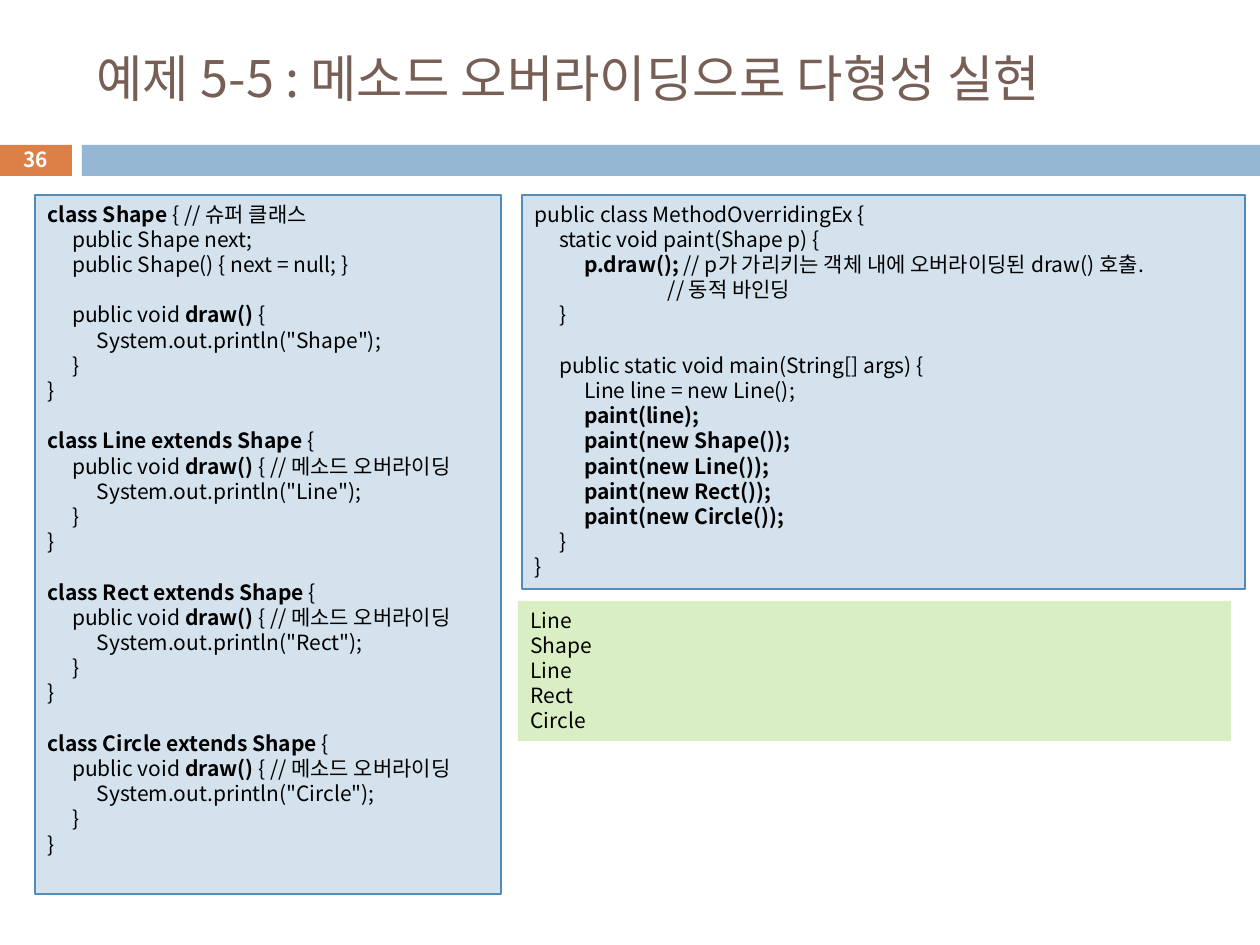
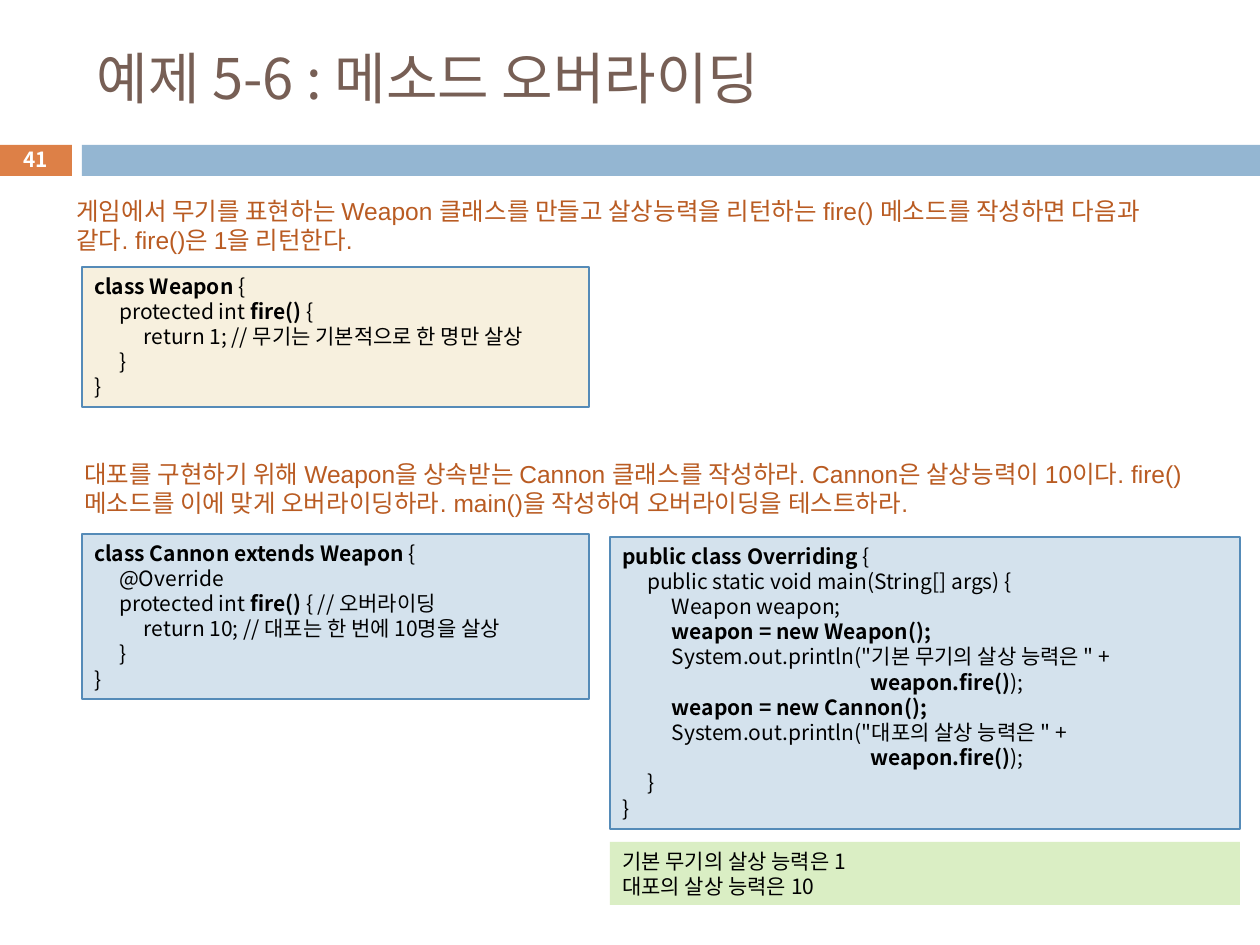
"""Build two slides of Java method-overriding examples."""
from lxml import etree
from pptx import Presentation
from pptx.dml.color import RGBColor
from pptx.enum.shapes import MSO_SHAPE
from pptx.enum.text import MSO_ANCHOR, MSO_AUTO_SIZE, PP_ALIGN
from pptx.oxml.ns import qn
from pptx.util import Emu, Pt

RECT = MSO_SHAPE.RECTANGLE
MIDDLE, TOP = MSO_ANCHOR.MIDDLE, MSO_ANCHOR.TOP
LEFT, CENTER = PP_ALIGN.LEFT, PP_ALIGN.CENTER
NO_FIT = MSO_AUTO_SIZE.NONE

PX = 914400 / 126
TAB = 180000
TAB_COUNT = 10
INDENT = "    "
BOLD = "**"
CODE_LINE = 14.4
TASK_LINE = 17

KOREAN, LATIN = "Noto Sans CJK KR", "Arial"
BROWN, ORANGE, BLUE, RUST = "775F55", "DD8047", "94B6D2", "B95B22"
BLACK, WHITE, EDGE = "000000", "FFFFFF", "558BB8"
FILLS = {"code": "D4E2ED", "given": "F7F0DE", "output": "DAEEC4"}

TITLE_BOX = (84, 31, 1124, 93)
NUMBER_BAND = (-1, 145, 73, 31)
NUMBER_BOX = (-1, 142, 73, 34)
TITLE_BAND = (82, 145, 1178, 31)

SHAPE_CLASSES = """**class Shape **{ // 슈퍼 클래스
    public Shape next;
    public Shape() { next = null; }

    public void **draw() **{
        System.out.println("Shape");
    }
}

**class Line extends Shape **{
    public void **draw() **{ // 메소드 오버라이딩
        System.out.println("Line");
    }
}

**class Rect extends Shape **{
    public void **draw() **{ // 메소드 오버라이딩
        System.out.println("Rect");
    }
}

**class Circle extends Shape **{
    public void **draw()** { // 메소드 오버라이딩
        System.out.println("Circle");
    }
}"""

PAINT_MAIN = """public class MethodOverridingEx {
    static void paint(Shape p) {
        **p.draw();** // p가 가리키는 객체 내에 오버라이딩된 draw() 호출.
                      // 동적 바인딩
    }

    public static void main(String[] args) {
        Line line = new Line();
        **paint(line);**
        **paint(new Shape());**
        **paint(new Line());**
        **paint(new Rect());**
        **paint(new Circle());**
    }
}"""

PAINT_OUTPUT = """Line
Shape
Line
Rect
Circle"""

WEAPON_CLASS = """**class Weapon **{
    protected int **fire() **{
        return 1; // 무기는 기본적으로 한 명만 살상
    }
}"""

CANNON_CLASS = """**class Cannon extends Weapon **{
    @Override
    protected int **fire() **{ // 오버라이딩
        return 10; // 대포는 한 번에 10명을 살상
    }
}"""

OVERRIDING_MAIN = """**public class Overriding **{
    public static void main(String[] args) {
        Weapon weapon;
        **weapon = new Weapon();**
        System.out.println("기본 무기의 살상 능력은 " +
                                        **weapon.fire()**);
        **weapon = new Cannon();**
        System.out.println("대포의 살상 능력은 " +
                                        **weapon.fire()**);
    }
}"""

OVERRIDING_OUTPUT = """기본 무기의 살상 능력은 1
대포의 살상 능력은 10"""

WEAPON_TASK = ("게임에서 무기를 표현하는 Weapon 클래스를 만들고 살상능력을 리턴하는 "
               "fire() 메소드를 작성하면 다음과 같다. fire()은 1을 리턴한다.")
CANNON_TASK = ("대포를 구현하기 위해 Weapon을 상속받는 Cannon 클래스를 작성하라. "
               "Cannon은 살상능력이 10이다. fire() 메소드를 이에 맞게 오버라이딩하라. "
               "main()을 작성하여 오버라이딩을 테스트하라.")

SLIDES = [
    {"title": "예제 5-5 : 메소드 오버라이딩으로 다형성 실현", "size": 28.8, "number": "36",
     "tasks": [],
     "panels": [("code", (35, 195, 466, 699), SHAPE_CLASSES),
                ("code", (522, 195, 723, 394), PAINT_MAIN),
                ("output", (518, 601, 713, 140), PAINT_OUTPUT)]},
    {"title": "예제 5-6 : 메소드 오버라이딩", "size": 32, "number": "41",
     "tasks": [((64, 189, 1131, 72), WEAPON_TASK),
               ((72, 452, 1135, 72), CANNON_TASK)],
     "panels": [("given", (82, 267, 507, 140), WEAPON_CLASS),
                ("code", (82, 534, 507, 165), CANNON_CLASS),
                ("code", (610, 537, 630, 292), OVERRIDING_MAIN),
                ("output", (610, 842, 630, 63), OVERRIDING_OUTPUT)]},
]


def emu(box):
    return [Emu(round(v * PX)) for v in box]


def rgb(color):
    return RGBColor.from_string(color)


def style_run(r, size, color, bold=False, font=KOREAN):
    r.font.size, r.font.bold, r.font.name = Pt(size), bold, font
    r.font.color.rgb = rgb(color)
    etree.SubElement(r.font._element, qn("a:ea")).set("typeface", KOREAN)


def set_frame(tf, anchor):
    tf.word_wrap, tf.auto_size, tf.vertical_anchor = True, NO_FIT, anchor


def add_rect(s, box, fill, edge=None):
    sp = s.shapes.add_shape(RECT, *emu(box))
    sp.shadow.inherit = False
    sp.fill.solid()
    sp.fill.fore_color.rgb = rgb(fill)
    if edge:
        sp.line.color.rgb = rgb(edge)
        sp.line.width = Pt(0.75)
    else:
        sp.line.fill.background()
    return sp


def write_line(tf, text, align, size, color, bold=False, font=KOREAN):
    p = tf.paragraphs[0]
    p.text, p.alignment = text, align
    style_run(p.runs[0], size, color, bold, font)
    return p


def add_text(s, box, anchor):
    tf = s.shapes.add_textbox(*emu(box)).text_frame
    set_frame(tf, anchor)
    return tf


def add_tabs(p):
    tabs = etree.SubElement(p._p.get_or_add_pPr(), qn("a:tabLst"))
    for i in range(1, TAB_COUNT + 1):
        etree.SubElement(tabs, qn("a:tab"), pos=str(i * TAB), algn="l")


def add_panel(s, kind, box, code):
    tf = add_rect(s, box, FILLS[kind], None if kind == "output" else EDGE).text_frame
    set_frame(tf, TOP)
    p, gap = None, 0
    for line in code.splitlines():
        if not line:
            gap = CODE_LINE
            continue
        p = tf.add_paragraph() if p else tf.paragraphs[0]
        p.alignment, p.line_spacing, p.space_before = LEFT, Pt(CODE_LINE), Pt(gap)
        gap = 0
        if line.startswith(INDENT):
            add_tabs(p)
        for i, part in enumerate(line.replace(INDENT, "\t").split(BOLD)):
            if part:
                r = p.add_run()
                r.text = part
                style_run(r, 12, BLACK, i % 2 == 1)


def add_slide(prs, content):
    s = prs.slides.add_slide(prs.slide_layouts[5])
    add_rect(s, NUMBER_BAND, ORANGE)
    add_rect(s, TITLE_BAND, BLUE)
    title = s.shapes.title
    title.left, title.top, title.width, title.height = emu(TITLE_BOX)
    set_frame(title.text_frame, MIDDLE)
    write_line(title.text_frame, content["title"], LEFT, content["size"], BROWN)
    number = add_text(s, NUMBER_BOX, MIDDLE)
    write_line(number, content["number"], CENTER, 11.9, WHITE, True)
    for box, task in content["tasks"]:
        p = write_line(add_text(s, box, TOP), task, LEFT, 14, RUST, font=LATIN)
        p.line_spacing = Pt(TASK_LINE)
    for panel in content["panels"]:
        add_panel(s, *panel)


def main():
    prs = Presentation()
    prs.slide_width, prs.slide_height = emu((1260, 945))
    for content in SLIDES:
        add_slide(prs, content)
    prs.save("out.pptx")


if __name__ == "__main__":
    main()
